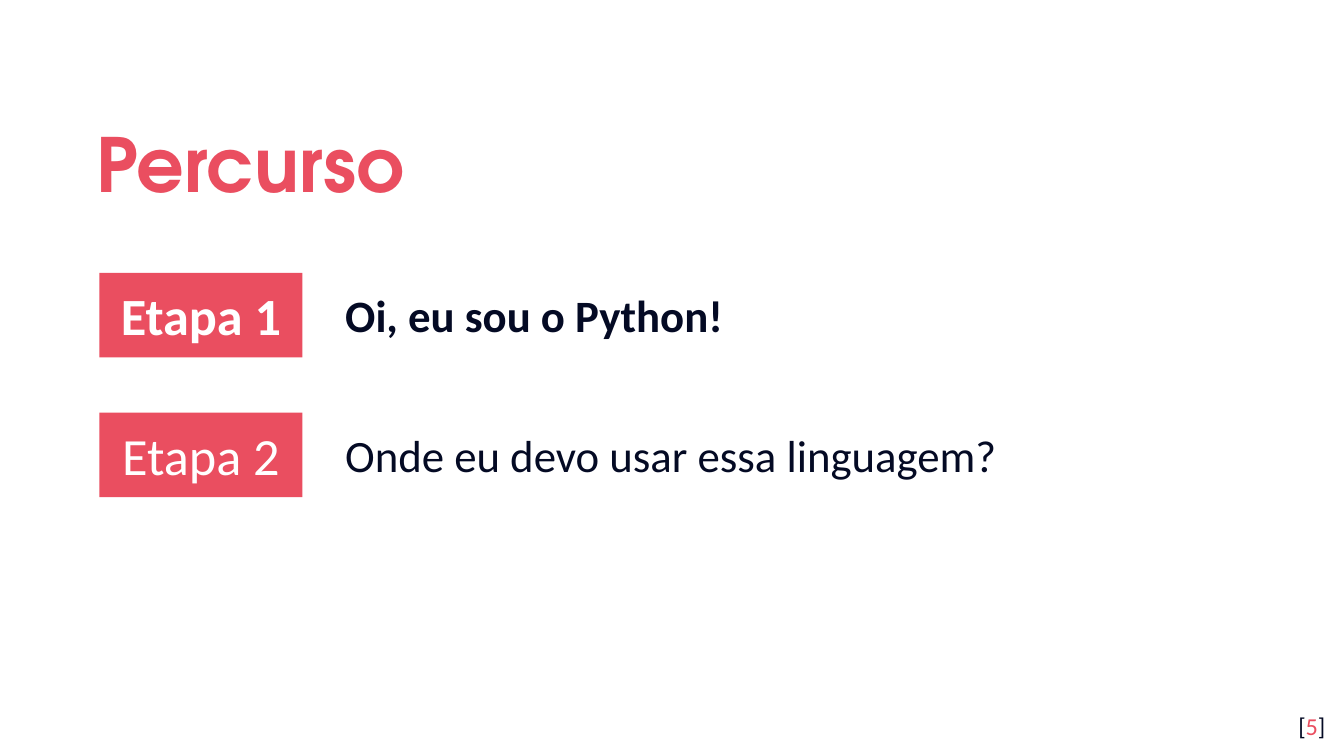
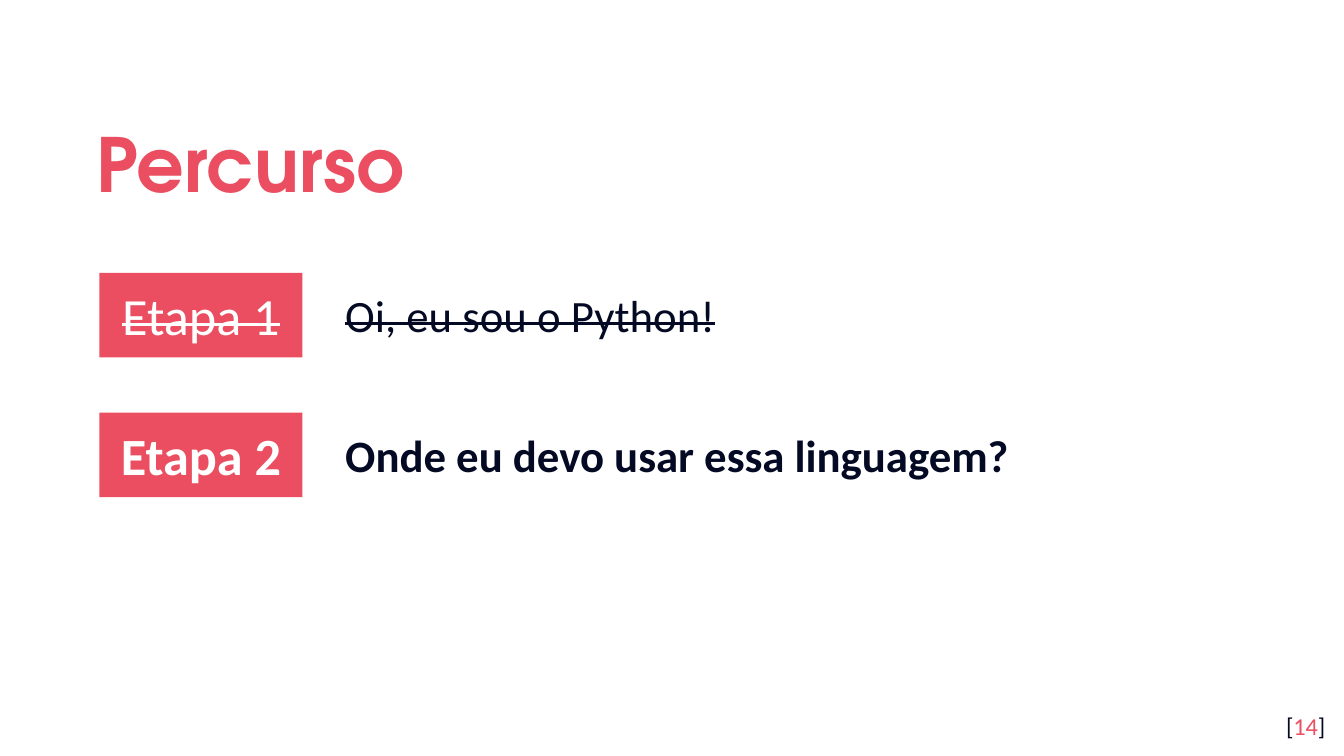
"""Builds two agenda slides that mark the current stage of a Python talk."""
from pptx import Presentation
from pptx.dml.color import RGBColor
from pptx.enum.shapes import MSO_SHAPE
from pptx.enum.text import MSO_ANCHOR, PP_ALIGN
from pptx.util import Inches, Pt

TITLE = "Percurso"
STAGES = [
    ("Etapa 1", "Oi, eu sou o Python!"),
    ("Etapa 2", "Onde eu devo usar essa linguagem?"),
]
PAGES = [
    {"number": "5", "current": 0},
    {"number": "14", "current": 1},
]

CORAL, NAVY, WHITE = "EA4E60", "040A24", "FFFFFF"
TITLE_FONT, BODY_FONT = "TeX Gyre Adventor", "Calibri"
WIDTH = 10
HEIGHT = WIDTH * 9 / 16
TAG_LEFT, TAG_WIDTH, TAG_HEIGHT = 0.74, 1.51, 0.63
TOPIC_LEFT, TOPIC_WIDTH, TOPIC_HEIGHT = 2.47, 6.75, 0.5
FIRST_ROW, ROW_STEP = 2.03, 1.04
NUMBER_WIDTH, NUMBER_HEIGHT, NUMBER_MARGIN = 0.6, 0.43, 0.04


def color(value):
    return RGBColor.from_string(value)


def set_text(box, spans, size, font=BODY_FONT, bold=False, struck=False,
             align=PP_ALIGN.LEFT, anchor=MSO_ANCHOR.TOP, inset=0.1):
    frame = box.text_frame
    frame.word_wrap = True
    frame.vertical_anchor = anchor
    frame.margin_left = frame.margin_right = Inches(0.1)
    frame.margin_top = frame.margin_bottom = Inches(inset)
    para = frame.paragraphs[0]
    para.alignment = align
    para.font.name, para.font.size, para.font.bold = font, Pt(size), bold
    for text, tint in spans:
        span = para.add_run()
        span.text = text
        span.font.color.rgb = color(tint)
        if struck:
            span._r.get_or_add_rPr().set("strike", "sngStrike")
    return para


def add_box(page, *place):
    return page.shapes.add_textbox(*map(Inches, place))


def add_title(page):
    box = add_box(page, 0.62, 0.7, 8.1, 0.92)
    para = set_text(box, [(TITLE, CORAL)], 40, TITLE_FONT, bold=True,
                    anchor=MSO_ANCHOR.MIDDLE)
    para.line_spacing = 1.15


def add_stage(page, row, current):
    label, topic = STAGES[row]
    top = FIRST_ROW + row * ROW_STEP
    style = {"bold": row == current, "struck": row < current}
    tag = page.shapes.add_shape(
        MSO_SHAPE.RECTANGLE,
        *map(Inches, (TAG_LEFT, top, TAG_WIDTH, TAG_HEIGHT)))
    tag.shadow.inherit = False
    tag.fill.solid()
    tag.fill.fore_color.rgb = color(CORAL)
    tag.line.fill.background()
    set_text(tag, [(label, WHITE)], 28, align=PP_ALIGN.CENTER,
             anchor=MSO_ANCHOR.MIDDLE, **style)
    topic_top = top + (TAG_HEIGHT - TOPIC_HEIGHT) / 2
    box = add_box(page, TOPIC_LEFT, topic_top, TOPIC_WIDTH, TOPIC_HEIGHT)
    set_text(box, [(topic, NAVY)], 24, inset=0.05, **style)


def add_number(page, number):
    box = add_box(page, WIDTH - NUMBER_WIDTH - NUMBER_MARGIN,
                  HEIGHT - NUMBER_HEIGHT, NUMBER_WIDTH, NUMBER_HEIGHT)
    set_text(box, [("[", NAVY), (number, CORAL), ("]", NAVY)], 13,
             align=PP_ALIGN.RIGHT)


deck = Presentation()
deck.slide_width, deck.slide_height = Inches(WIDTH), Inches(HEIGHT)
for content in PAGES:
    page = deck.slides.add_slide(deck.slide_layouts[6])
    add_title(page)
    for row in range(len(STAGES)):
        add_stage(page, row, content["current"])
    add_number(page, content["number"])
deck.save("out.pptx")
